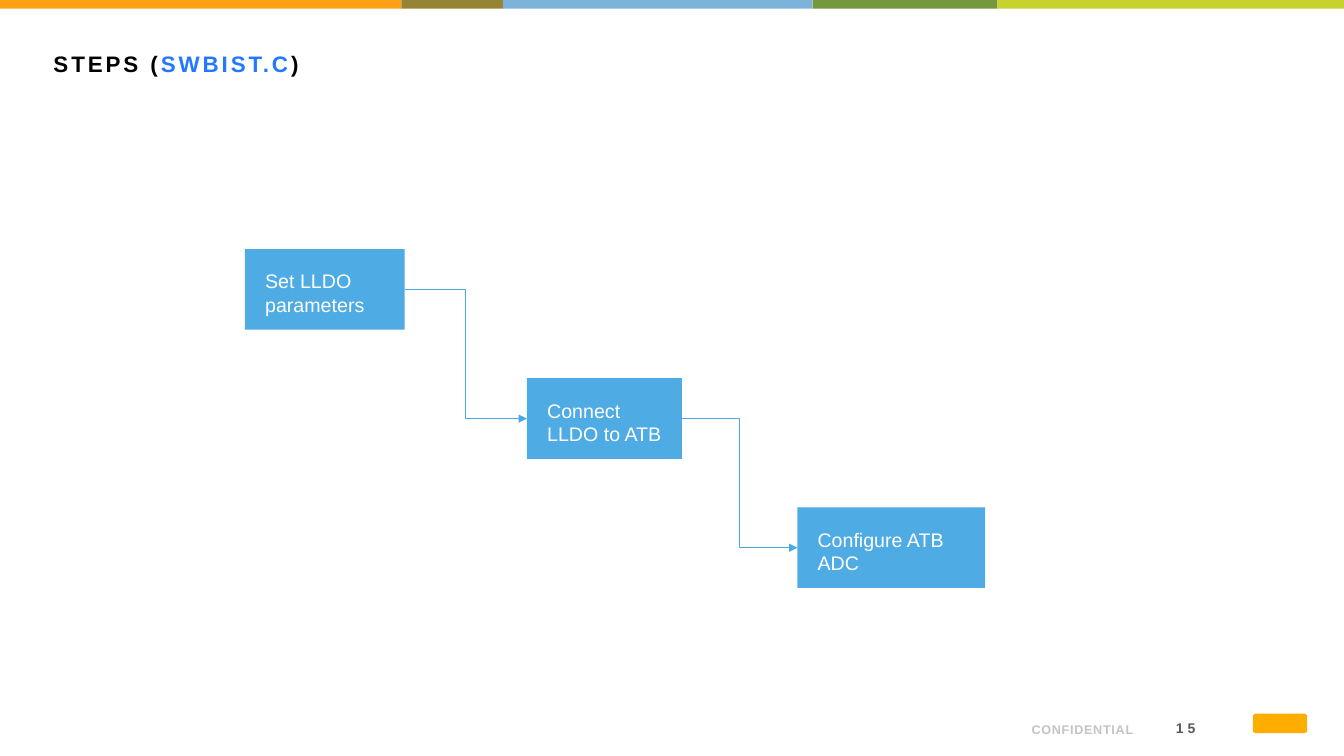
from itertools import pairwise

from lxml.etree import SubElement
from pptx import Presentation
from pptx.dml.color import RGBColor
from pptx.enum.shapes import MSO_CONNECTOR, MSO_SHAPE
from pptx.enum.text import MSO_ANCHOR, MSO_AUTO_SIZE, PP_ALIGN
from pptx.oxml.ns import qn
from pptx.util import Pt

BLACK = RGBColor(0x00, 0x00, 0x00)
WHITE = RGBColor(0xFF, 0xFF, 0xFF)
LINK_BLUE = RGBColor(0x23, 0x78, 0xFF)
STEP_BLUE = RGBColor(0x4F, 0xAB, 0xE3)
ARROW_BLUE = RGBColor(0x4A, 0xA8, 0xE2)
DARK_GREY = RGBColor(0x59, 0x59, 0x59)
LIGHT_GREY = RGBColor(0xC4, 0xC4, 0xC4)
ORANGE = RGBColor(0xFF, 0xA0, 0x15)
BROWN = RGBColor(0x95, 0x84, 0x36)
SKY = RGBColor(0x7D, 0xB2, 0xDB)
GREEN = RGBColor(0x73, 0x98, 0x3E)
LIME = RGBColor(0xC7, 0xD2, 0x2D)
AMBER = RGBColor(0xFF, 0xAD, 0x00)

SLIDE_WIDTH, SLIDE_HEIGHT = 960, 540
STRIPES = [(ORANGE, 286.8), (BROWN, 72.5), (SKY, 221.1), (GREEN, 132.1), (LIME, 247.5)]
STEPS = [
    ("Set LLDO parameters", 0, 114),
    ("Connect LLDO to ATB", 201.4, 110.7),
    ("Configure ATB ADC", 394.6, 134.2),
]
STEP_HEIGHT, STEP_DROP = 57.6, 92.2


def format_run(run, size, color, bold=False, spacing=0):
    """Set the font, colour and letter spacing (in points) of a run."""
    run.font.name = "Arial"
    run.font.size = Pt(size)
    run.font.bold = bold
    run.font.color.rgb = color
    if spacing:
        run.font._element.set("spc", str(round(spacing * 100)))


def add_block(slide, preset, left, top, width, height, color):
    """Add a flat filled shape without an outline."""
    shape = slide.shapes.add_shape(preset, Pt(left), Pt(top), Pt(width), Pt(height))
    shape.shadow.inherit = False
    shape.fill.solid()
    shape.fill.fore_color.rgb = color
    shape.line.fill.background()
    return shape


def add_stripes(slide, left, top, height):
    """Lay the coloured stripes side by side."""
    for color, width in STRIPES:
        add_block(slide, MSO_SHAPE.RECTANGLE, left, top, width, height, color)
        left += width


def set_title(slide, left, top, width, height):
    """Place the title and highlight the file name in it."""
    title = slide.shapes.title
    title.left, title.top, title.width, title.height = map(Pt, (left, top, width, height))
    frame = title.text_frame
    frame.auto_size = MSO_AUTO_SIZE.NONE
    frame.vertical_anchor = MSO_ANCHOR.TOP
    paragraph = frame.paragraphs[0]
    paragraph.alignment = PP_ALIGN.LEFT
    for text, color in (("STEPS (", BLACK), ("SWBIST.C", LINK_BLUE), (")", BLACK)):
        run = paragraph.add_run()
        run.text = text
        format_run(run, 16, color, True, 2.1)


def add_step(slide, text, left, top, width):
    """Add one step of the staircase."""
    step = add_block(slide, MSO_SHAPE.RECTANGLE, left, top, width, STEP_HEIGHT, STEP_BLUE)
    frame = step.text_frame
    frame.word_wrap = True
    frame.vertical_anchor = MSO_ANCHOR.TOP
    frame.margin_left = frame.margin_right = Pt(14.4)
    frame.margin_top = frame.margin_bottom = Pt(14.4)
    frame.text = text
    paragraph = frame.paragraphs[0]
    paragraph.alignment = PP_ALIGN.LEFT
    format_run(paragraph.runs[0], 14, WHITE)
    return step


def join_steps(slide, source, target):
    """Draw an elbow arrow from the right of one step to the left of the next."""
    arrow = slide.shapes.add_connector(MSO_CONNECTOR.ELBOW, 0, 0, 0, 0)
    arrow.begin_connect(source, 3)
    arrow.end_connect(target, 1)
    arrow.line.color.rgb = ARROW_BLUE
    arrow.line.width = Pt(0.75)
    SubElement(arrow.line._get_or_add_ln(), qn("a:tailEnd"), type="triangle")
    SubElement(arrow._element.spPr, qn("a:effectLst"))


def add_staircase(slide, left, top):
    """Place the steps downwards to the right and join them."""
    steps = [
        add_step(slide, text, left + offset, top + row * STEP_DROP, width)
        for row, (text, offset, width) in enumerate(STEPS)
    ]
    for source, target in pairwise(steps):
        join_steps(slide, source, target)


def add_footer_text(slide, text, box, anchor, margins, size, color, spacing):
    """Add a bold right-aligned footer text."""
    frame = slide.shapes.add_textbox(*map(Pt, box)).text_frame
    frame.word_wrap = True
    frame.vertical_anchor = anchor
    horizontal, vertical = map(Pt, margins)
    frame.margin_left = frame.margin_right = horizontal
    frame.margin_top = frame.margin_bottom = vertical
    frame.text = text
    paragraph = frame.paragraphs[0]
    paragraph.alignment = PP_ALIGN.RIGHT
    format_run(paragraph.runs[0], size, color, True, spacing)


def add_footer(slide, left, top):
    """Add the confidentiality note, the page number and the plain mark."""
    add_footer_text(slide, "CONFIDENTIAL", (left, top, 203.8, 24.5),
                    MSO_ANCHOR.BOTTOM, (7.2, 3.6), 9, LIGHT_GREY, 0.5)
    add_footer_text(slide, "15", (left + 199.4, top + 3.6, 46.8, 21.6),
                    MSO_ANCHOR.MIDDLE, (5, 2.9), 10, DARK_GREY, 3)
    add_block(slide, MSO_SHAPE.ROUNDED_RECTANGLE, left + 282.2, top + 4.3, 38.9, 14, AMBER)


def main():
    """Build and save the slide."""
    presentation = Presentation()
    presentation.slide_width = Pt(SLIDE_WIDTH)
    presentation.slide_height = Pt(SLIDE_HEIGHT)
    slide = presentation.slides.add_slide(presentation.slide_layouts[5])
    add_stripes(slide, 0, 0, 6.3)
    set_title(slide, 31, 32.4, 900, 51.8)
    add_staircase(slide, 175, 178)
    add_footer(slide, 612.7, 505.4)
    presentation.save("out.pptx")


if __name__ == "__main__":
    main()
